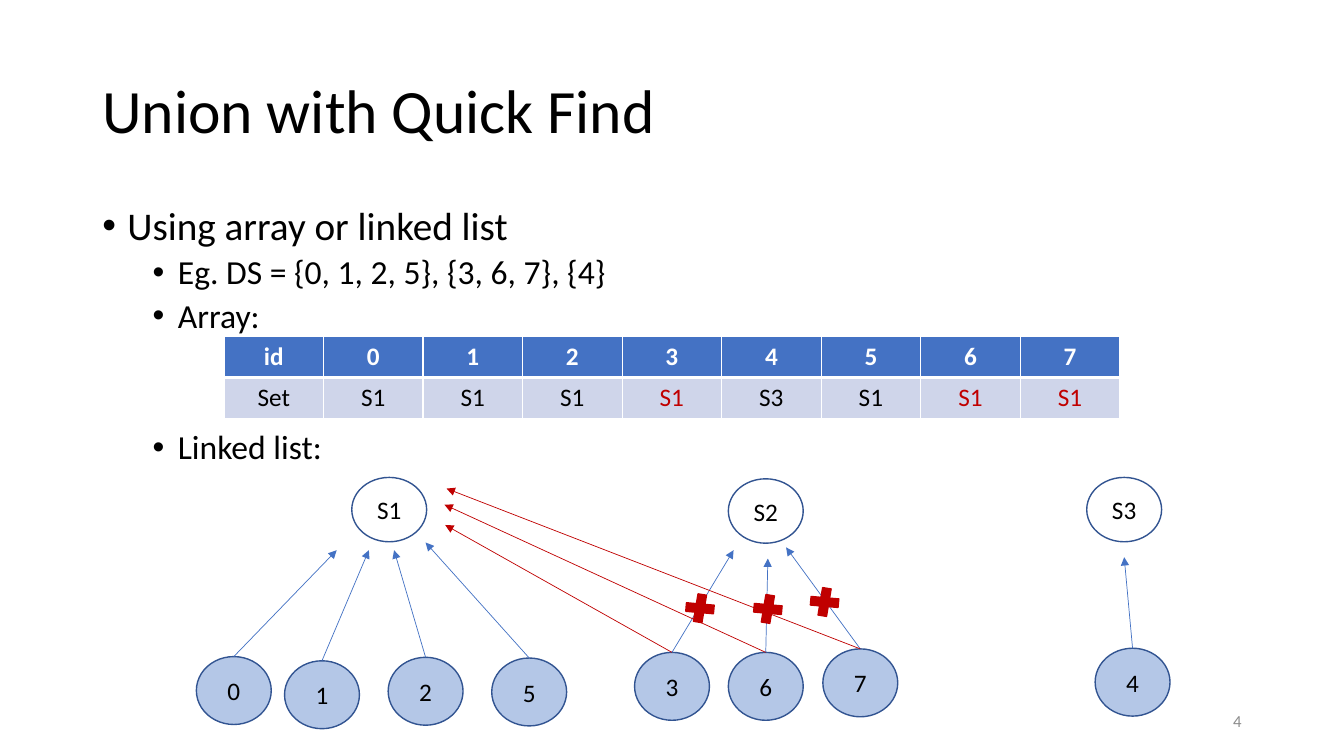
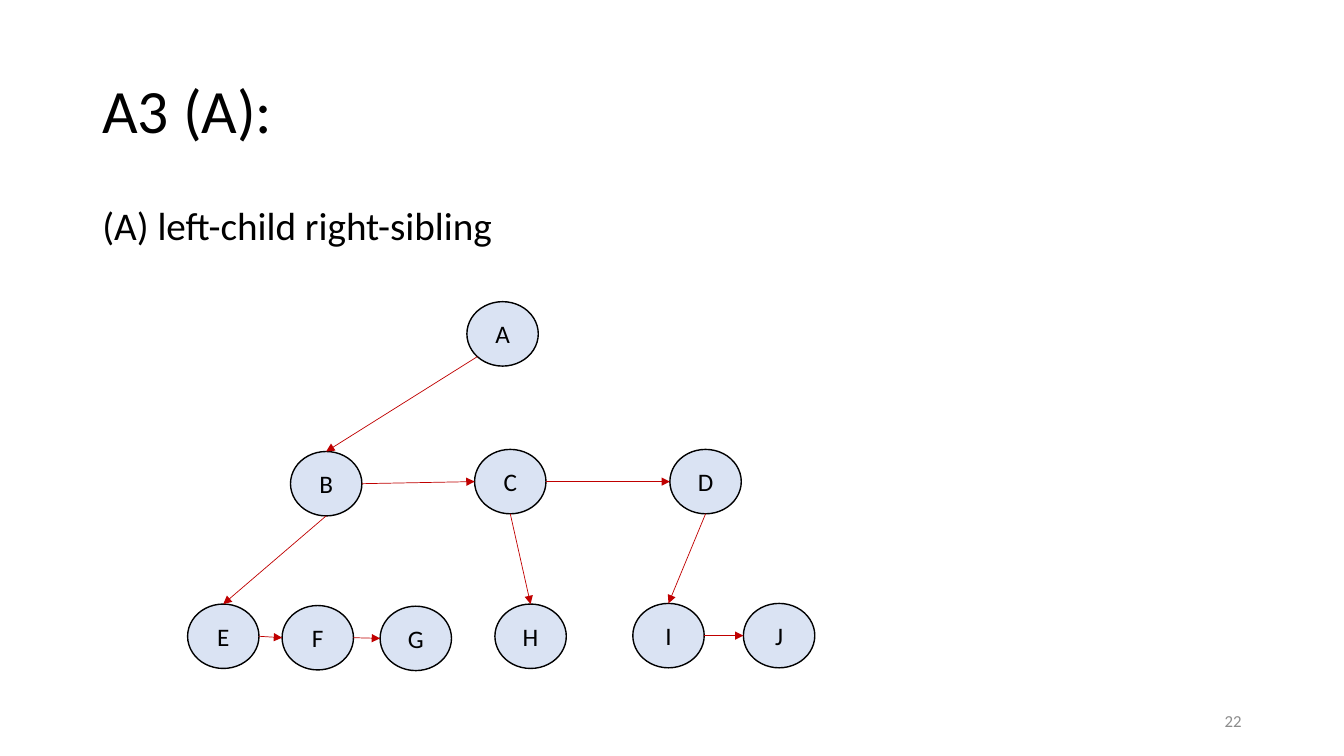
from math import sqrt
from lxml.etree import SubElement
from pptx import Presentation
from pptx.dml.color import RGBColor
from pptx.enum.shapes import MSO_CONNECTOR, MSO_SHAPE
from pptx.enum.text import MSO_ANCHOR, PP_ALIGN
from pptx.oxml.ns import qn
from pptx.util import Pt

# Shared style
FONT = "Calibri"
BLACK, WHITE, GRAY = "000000", "FFFFFF", "8C8C8C"
BLUE, NAVY, RED = "4472C4", "325491", "C00000"
LEAF, BAND, PALE = "B4C7E7", "CFD5EA", "DAE3F3"

# Shared boxes: left, top, width, height
TITLE_BOX = (66, 28.8, 828, 104.4)
BODY_BOX = (66, 144, 828, 343)
NUMBER_BOX = (678, 500.4, 216, 28.8)

# Ellipse connection sites: index, then offset from the centre in half sizes
DIAG = sqrt(0.5)
SITES = {
    "top": (0, 0, -1),
    "left": (2, -1, 0),
    "bottom left": (3, -DIAG, DIAG),
    "bottom": (4, 0, 1),
    "right": (6, 1, 0),
}


def rgb(color):
    return RGBColor.from_string(color)


def write(p, text, size=18, color=BLACK, bold=False, align=PP_ALIGN.LEFT,
          spacing=None, before=None, bullet=None, indent=0):
    p.alignment = align
    if spacing:
        p.line_spacing = spacing
    if before is not None:
        p.space_before = Pt(before)
    if bullet:
        pPr = p._p.get_or_add_pPr()
        pPr.set("marL", str(Pt(indent)))
        pPr.set("indent", str(-Pt(18)))
        SubElement(pPr, qn("a:buFont"), typeface="Arial")
        SubElement(pPr, qn("a:buChar"), char=bullet)
    r = p.add_run()
    r.text = text
    r.font.name = FONT
    r.font.size = Pt(size)
    r.font.bold = bold
    r.font.color.rgb = rgb(color)


def add_text(slide, box, paragraphs, anchor=MSO_ANCHOR.TOP):
    tf = slide.shapes.add_textbox(*map(Pt, box)).text_frame
    tf.word_wrap = True
    tf.vertical_anchor = anchor
    for i, (text, style) in enumerate(paragraphs):
        p = tf.add_paragraph() if i else tf.paragraphs[0]
        write(p, text, **style)


def add_figure(slide, kind, cx, top, w, h, fill, line):
    sp = slide.shapes.add_shape(kind, Pt(cx - w / 2), Pt(top), Pt(w), Pt(h))
    sp.shadow.inherit = False
    sp.fill.solid()
    sp.fill.fore_color.rgb = rgb(fill)
    sp.line.color.rgb = rgb(line)
    sp.line.width = Pt(1)
    return sp


def add_node(slide, text, cx, top, w, h, fill, line):
    sp = add_figure(slide, MSO_SHAPE.OVAL, cx, top, w, h, fill, line)
    tf = sp.text_frame
    tf.margin_left = tf.margin_right = 0
    tf.vertical_anchor = MSO_ANCHOR.MIDDLE
    write(tf.paragraphs[0], text, align=PP_ALIGN.CENTER)
    return sp


def site_point(node, site):
    _, dx, dy = SITES[site]
    return (int(node.left + node.width * (1 + dx) / 2),
            int(node.top + node.height * (1 + dy) / 2))


def add_arrow(slide, start, end, color):
    """Each end is either a (node, site) pair or a point in Pt."""
    joined = [isinstance(e[1], str) for e in (start, end)]
    points = [site_point(*e) if j else e for e, j in zip((start, end), joined)]
    c = slide.shapes.add_connector(MSO_CONNECTOR.STRAIGHT, *points[0], *points[1])
    c.line.color.rgb = rgb(color)
    c.line.width = Pt(0.5)
    SubElement(c.line._get_or_add_ln(), qn("a:tailEnd"), type="triangle")
    SubElement(c._element.spPr, qn("a:effectLst"))
    props = c._element.find(".//" + qn("p:cNvCxnSpPr"))
    for tag, e, j in zip(("a:stCxn", "a:endCxn"), (start, end), joined):
        if j:
            SubElement(props, qn(tag), id=str(e[0].shape_id), idx=str(SITES[e[1]][0]))


def add_slide(prs, title, body, number):
    slide = prs.slides.add_slide(prs.slide_layouts[6])
    add_text(slide, TITLE_BOX, [(title, dict(size=44, spacing=0.9))], MSO_ANCHOR.MIDDLE)
    add_text(slide, BODY_BOX, body)
    add_text(slide, NUMBER_BOX,
             [(number, dict(size=12, color=GRAY, align=PP_ALIGN.RIGHT))], MSO_ANCHOR.MIDDLE)
    return slide


def set_border(cell, side, width):
    ln = SubElement(cell._tc.get_or_add_tcPr(), qn("a:" + side), w=str(Pt(width)))
    SubElement(SubElement(ln, qn("a:solidFill")), qn("a:srgbClr"), val=WHITE)


def add_set_table(slide, box, rows, moved):
    table = slide.shapes.add_table(len(rows), len(rows[0]), *map(Pt, box)).table
    for col in table.columns:
        col.width = Pt(box[2] / len(rows[0]))
    for i, row in enumerate(rows):
        head = i == 0
        for j, text in enumerate(row):
            cell = table.cell(i, j)
            for side in ("lnL", "lnR", "lnT", "lnB"):
                thick = (head and side == "lnB") or (not head and side == "lnT")
                set_border(cell, side, 3 if thick else 1)
            cell.fill.solid()
            cell.fill.fore_color.rgb = rgb(BLUE if head else BAND)
            color = WHITE if head else RED if j in moved else BLACK
            write(cell.text_frame.paragraphs[0], text, color=color, bold=head,
                  align=PP_ALIGN.CENTER)


def add_forest(slide, box):
    x, y = box[:2]
    # Sets: centre and top
    for name, cx, top in (("S1", 138, 1), ("S2", 407, 2), ("S3", 663, 1)):
        add_node(slide, name, x + cx, y + top, 53.5, 46, WHITE, NAVY)
    # Elements: centre, top, and the tip of the arrow to the set
    elements = {
        "0": (27, 129, 100.5, 53), "1": (90, 132, 123.5, 53),
        "2": (164, 129.5, 141.5, 53), "5": (238, 130, 164, 47.5),
        "3": (340, 126, 384, 53), "6": (407, 126, 408.5, 59),
        "7": (474.5, 123.5, 421.5, 51), "4": (669, 123, 663, 58),
    }
    nodes = {}
    for name, (cx, top, tip_x, tip_y) in elements.items():
        nodes[name] = add_node(slide, name, x + cx, y + top, 53.5, 48.5, LEAF, NAVY)
        add_arrow(slide, (nodes[name], "top"), (Pt(x + tip_x), Pt(y + tip_y)), BLUE)
    # Removed links
    for cx, top in ((360, 80.5), (408.5, 81), (449, 76)):
        cross = add_figure(slide, MSO_SHAPE.MATH_MULTIPLY, x + cx, y + top, 26, 28, RED, RED)
        cross.rotation = 52.3
    # New links to S1
    for name, tip_x, tip_y in (("3", 178, 35), ("6", 177.5, 20.5), ("7", 179, 9)):
        add_arrow(slide, (nodes[name], "top"), (Pt(x + tip_x), Pt(y + tip_y)), RED)


def add_tree(slide, box):
    x, y = box[:2]
    # Nodes: centre and top
    places = {
        "A": (226, 0), "B": (100, 107), "C": (231.5, 105.5), "D": (371, 105.5),
        "E": (26.5, 216), "F": (94, 217), "G": (164, 217.5), "H": (246, 216),
        "I": (344.5, 215.5), "J": (423.5, 215.5),
    }
    nodes = {name: add_node(slide, name, x + cx, y + top, 51, 46, PALE, BLACK)
             for name, (cx, top) in places.items()}
    # Left children
    for parent, child in ("AB", "BE", "CH", "DI"):
        site = "bottom left" if parent == "A" else "bottom"
        add_arrow(slide, (nodes[parent], site), (nodes[child], "top"), RED)
    # Right siblings
    for node, sibling in ("BC", "CD", "EF", "FG", "IJ"):
        add_arrow(slide, (nodes[node], "right"), (nodes[sibling], "left"), RED)


def union_slide(prs):
    main = dict(size=28, spacing=0.9, before=10, bullet="•", indent=18)
    sub = dict(size=24, spacing=0.9, before=5, bullet="•", indent=54)
    slide = add_slide(prs, "Union with Quick Find", [
        ("Using array or linked list", main),
        ("Eg. DS = {0, 1, 2, 5}, {3, 6, 7}, {4}", sub),
        ("Array:", sub),
        ("Linked list:", {**sub, "before": 68}),
    ], "4")
    add_set_table(slide, (160, 240.5, 640, 58.4), [
        ["id", *"01234567"],
        ["Set", "S1", "S1", "S1", "S1", "S3", "S1", "S1", "S1"],
    ], moved=(4, 7, 8))
    add_forest(slide, (140, 340, 704, 180))


def tree_slide(prs):
    slide = add_slide(prs, "A3 (A):", [
        ("(A) left-child right-sibling", dict(size=28, spacing=0.9, before=10)),
    ], "22")
    add_tree(slide, (133, 215.5, 454, 264))


def main():
    prs = Presentation()
    prs.slide_width, prs.slide_height = Pt(960), Pt(540)
    union_slide(prs)
    tree_slide(prs)
    prs.save("out.pptx")


if __name__ == "__main__":
    main()
